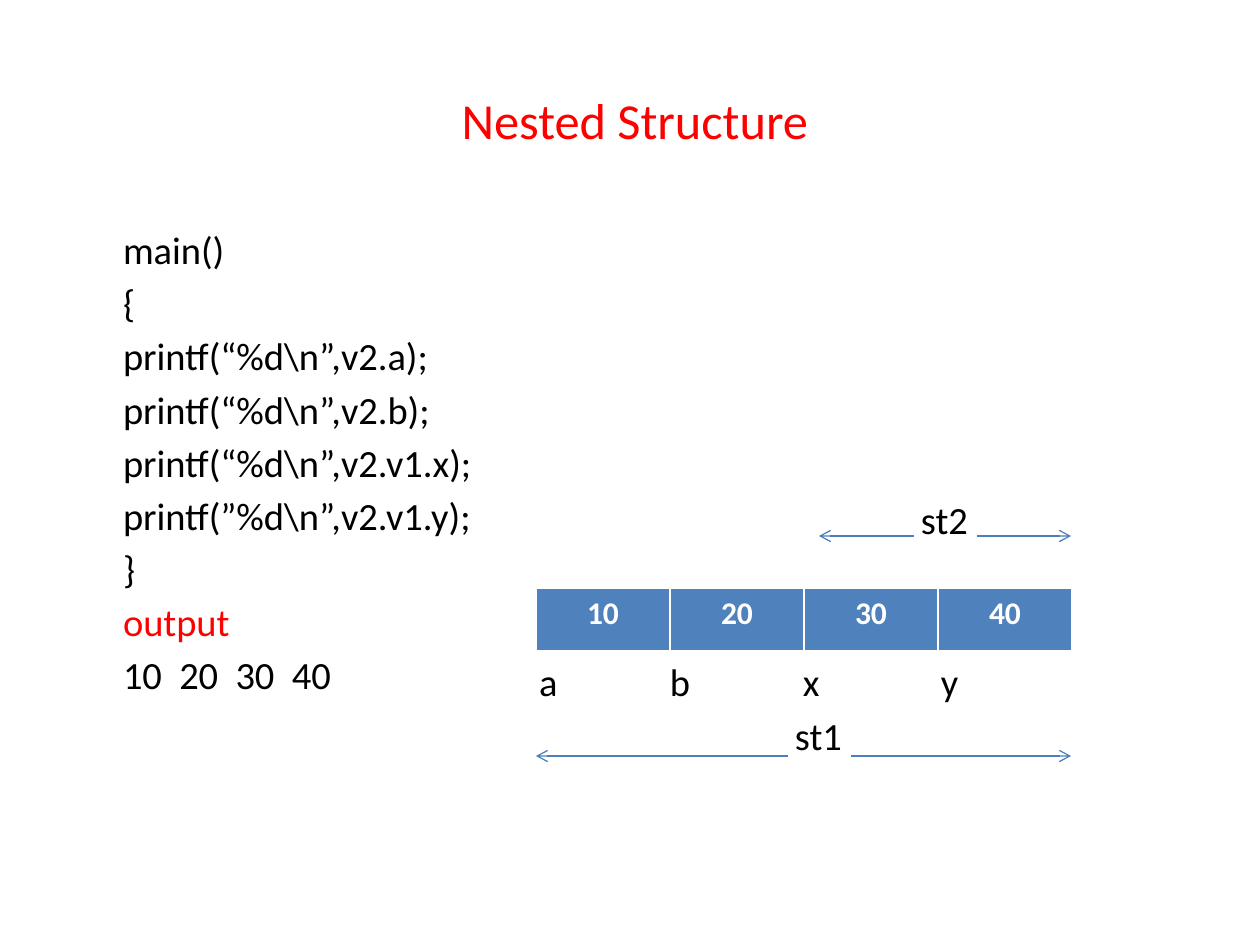
from dataclasses import dataclass

import pptx
import pptx.dml.color
import pptx.enum.shapes
import pptx.enum.text
import pptx.oxml
import pptx.oxml.ns
import pptx.util

EMU_PER_PIXEL = 914400 / 126
FONT = "Calibri"
BLACK, RED, WHITE = "000000", "FF0000", "FFFFFF"
CELL_BLUE, ARROW_BLUE = "4F81BD", "4B7EBC"
CODE_LEFT, CODE_TOP, LINE_PITCH = 123, 226, 54


@dataclass
class Label:
    text: str
    left: int
    line: int  # code line whose height it shares


@dataclass
class Arrow:
    start: int
    end: int
    y: int


CODE = [
    "main()",
    "{",
    "printf(“%d\\n”,v2.a);",
    "printf(“%d\\n”,v2.b);",
    "printf(“%d\\n”,v2.v1.x);",
    "printf(”%d\\n”,v2.v1.y);",
    "}",
    "output",
    "10  20  30  40",
]
LABELS = [
    Label("st2", 921, 5),
    Label("a", 539, 8),
    Label("b", 670, 8),
    Label("x", 803, 8),
    Label("y", 941, 8),
    Label("st1", 795, 9),
]
ARROWS = [
    Arrow(914, 819, 536),
    Arrow(977, 1071, 536),
    Arrow(788, 536, 756),
    Arrow(851, 1071, 756),
]
MEMBER_VALUES = ["10", "20", "30", "40"]


def px(pixels: int) -> int:
    return round(pixels * EMU_PER_PIXEL)


def rgb(color: str) -> pptx.dml.color.RGBColor:
    return pptx.dml.color.RGBColor.from_string(color)


def style_font(font, size: float, color: str, bold: bool = False) -> None:
    formats = {"name": FONT, "size": pptx.util.Pt(size), "bold": bold}
    for attribute, value in formats.items():
        setattr(font, attribute, value)
    font.color.rgb = rgb(color)


def add_lines(slide, lines: list[str], left: int, line: int, width: int) -> None:
    top = CODE_TOP + line * LINE_PITCH
    box = slide.shapes.add_textbox(
        px(left), px(top), px(width), px(len(lines) * LINE_PITCH))
    frame = box.text_frame
    formats = {"word_wrap": True, "margin_left": 0, "margin_right": 0,
               "margin_top": 0, "margin_bottom": 0}
    for attribute, value in formats.items():
        setattr(frame, attribute, value)
    for index, text in enumerate(lines):
        paragraph = frame.paragraphs[0] if index == 0 else frame.add_paragraph()
        paragraph.space_before = pptx.util.Pt(4 if index else 0)
        run = paragraph.add_run()
        run.text = text
        style_font(run.font, 22, RED if text == "output" else BLACK)


def add_arrow(slide, arrow: Arrow) -> None:
    connector = slide.shapes.add_connector(
        pptx.enum.shapes.MSO_CONNECTOR.STRAIGHT,
        px(arrow.start), px(arrow.y), px(arrow.end), px(arrow.y))
    connector.line.color.rgb = rgb(ARROW_BLUE)
    connector.line.width = pptx.util.Pt(0.75)
    namespace = pptx.oxml.ns.nsdecls("a")
    connector.line._get_or_add_ln().append(
        pptx.oxml.parse_xml(f'<a:tailEnd {namespace} type="arrow"/>'))
    connector._element.spPr.append(
        pptx.oxml.parse_xml(f"<a:effectLst {namespace}/>"))


def add_members(slide) -> None:
    members = slide.shapes.add_table(
        1, len(MEMBER_VALUES), px(536), px(588),
        px(134 * len(MEMBER_VALUES)), px(63)).table
    for cell, value in zip(members.rows[0].cells, MEMBER_VALUES):
        cell.fill.solid()
        cell.fill.fore_color.rgb = rgb(CELL_BLUE)
        cell.text = value
        paragraph = cell.text_frame.paragraphs[0]
        paragraph.alignment = pptx.enum.text.PP_ALIGN.CENTER
        style_font(paragraph.runs[0].font, 18, WHITE, bold=True)


def main() -> None:
    deck = pptx.Presentation()
    deck.slide_width, deck.slide_height = px(1260), px(945)
    slide = deck.slides.add_slide(deck.slide_layouts[5])

    # Title
    heading = slide.shapes.title
    position = {"left": 68, "top": 40, "width": 1134, "height": 158}
    for attribute, value in position.items():
        setattr(heading, attribute, px(value))
    heading.text_frame.text = "Nested Structure"
    heading.text_frame.vertical_anchor = pptx.enum.text.MSO_ANCHOR.MIDDLE
    paragraph = heading.text_frame.paragraphs[0]
    paragraph.alignment = pptx.enum.text.PP_ALIGN.CENTER
    style_font(paragraph.runs[0].font, 28.8, RED)

    # Code and its output
    add_lines(slide, CODE, CODE_LEFT, 0, 400)

    # Memory layout of the structures
    add_members(slide)
    for label in LABELS:
        add_lines(slide, [label.text], label.left, label.line, 55)
    for arrow in ARROWS:
        add_arrow(slide, arrow)

    deck.save("out.pptx")


main()
